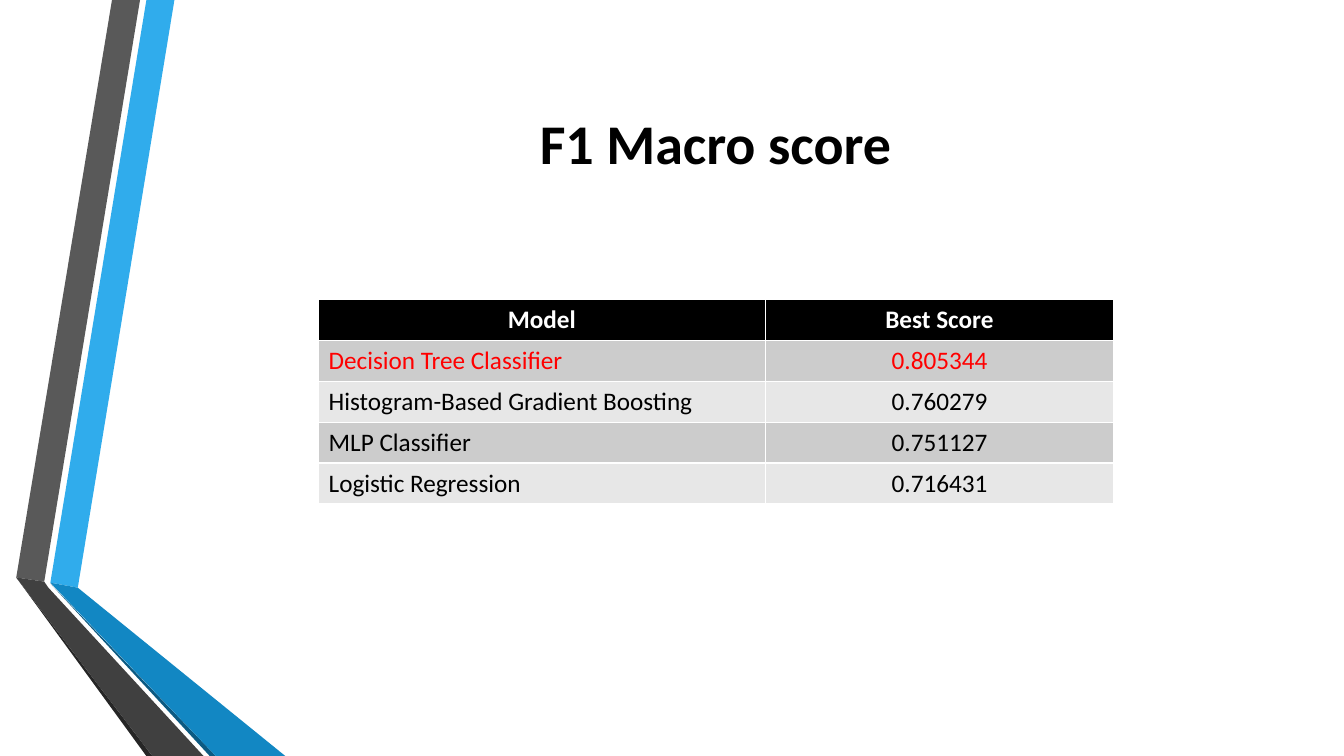
"""Build the F1 macro score slide with its ribbon decoration and results table."""
import pptx
import pptx.dml.color
import pptx.enum.text
import pptx.util

Pt = pptx.util.Pt
ALIGN = pptx.enum.text.PP_ALIGN
ANCHOR = pptx.enum.text.MSO_ANCHOR

TITLE = "F1 Macro score"
ROWS = [
    ("Model", "Best Score"),
    ("Decision Tree Classifier", "0.805344"),
    ("Histogram-Based Gradient Boosting", "0.760279"),
    ("MLP Classifier", "0.751127"),
    ("Logistic Regression", "0.716431"),
]
TEXT_COLORS = ["FFFFFF", "FF0000", "000000", "000000", "000000"]
ROW_FILLS = ["000000", "CCCCCC", "E7E7E7", "CCCCCC", "E7E7E7"]
COLUMN_WIDTHS = [319, 249]
ROW_HEIGHT = 29.2
RIBBONS = [
    ("30ACEC", [(36, 416.2), (55.6, 419.8), (124.6, 0), (104.6, 0)]),
    ("595959", [(100, 0), (80, 0), (11.6, 412.5), (31.6, 415.5)]),
    ("262626", [(11.6, 412.5), (104.5, 540), (108.8, 540)]),
    ("0C5A82", [(36, 416.8), (149.8, 540), (154.2, 540)]),
    ("1287C3", [(36, 416.2), (154.2, 540), (203.8, 540), (55.6, 419.8)]),
    ("404040", [(145.4, 540), (34.6, 419.8), (31.6, 415.5), (11.6, 412.5), (108.8, 540)]),
]


def color(code):
    return pptx.dml.color.RGBColor.from_string(code)


def format_text(para, size, code, bold, align):
    para.alignment = align
    for span in para.runs:
        span.font.name = "Calibri"
        span.font.size = Pt(size)
        span.font.bold = bold
        span.font.color.rgb = color(code)


def add_ribbon(page, code, corners):
    points = [(Pt(x), Pt(y)) for x, y in corners]
    builder = page.shapes.build_freeform(*points[0])
    builder.add_line_segments(points[1:], close=True)
    ribbon = builder.convert_to_shape()
    ribbon.shadow.inherit = False
    ribbon.fill.solid()
    ribbon.fill.fore_color.rgb = color(code)
    ribbon.line.fill.background()


def add_title(page):
    title = page.shapes.title
    title.left, title.top, title.width, title.height = Pt(116.6), Pt(54), Pt(789), Pt(94.3)
    title.text_frame.text = TITLE
    title.text_frame.vertical_anchor = ANCHOR.MIDDLE
    format_text(title.text_frame.paragraphs[0], 40, "000000", True, ALIGN.CENTER)


def add_scores(page):
    table = page.shapes.add_table(
        len(ROWS), len(COLUMN_WIDTHS), Pt(227.6), Pt(214),
        Pt(sum(COLUMN_WIDTHS)), Pt(ROW_HEIGHT * len(ROWS))).table
    for column, width in zip(table.columns, COLUMN_WIDTHS):
        column.width = Pt(width)
    for i, texts in enumerate(ROWS):
        table.rows[i].height = Pt(ROW_HEIGHT)
        for j, text in enumerate(texts):
            cell = table.cell(i, j)
            cell.fill.solid()
            cell.fill.fore_color.rgb = color(ROW_FILLS[i])
            cell.text_frame.text = text
            align = ALIGN.LEFT if i > 0 and j == 0 else ALIGN.CENTER
            format_text(cell.text_frame.paragraphs[0], 18, TEXT_COLORS[i], i == 0, align)


def main():
    deck = pptx.Presentation()
    deck.slide_width, deck.slide_height = Pt(960), Pt(540)
    page = deck.slides.add_slide(deck.slide_layouts[5])
    for code, corners in RIBBONS:
        add_ribbon(page, code, corners)
    add_title(page)
    add_scores(page)
    deck.save("out.pptx")


if __name__ == "__main__":
    main()
